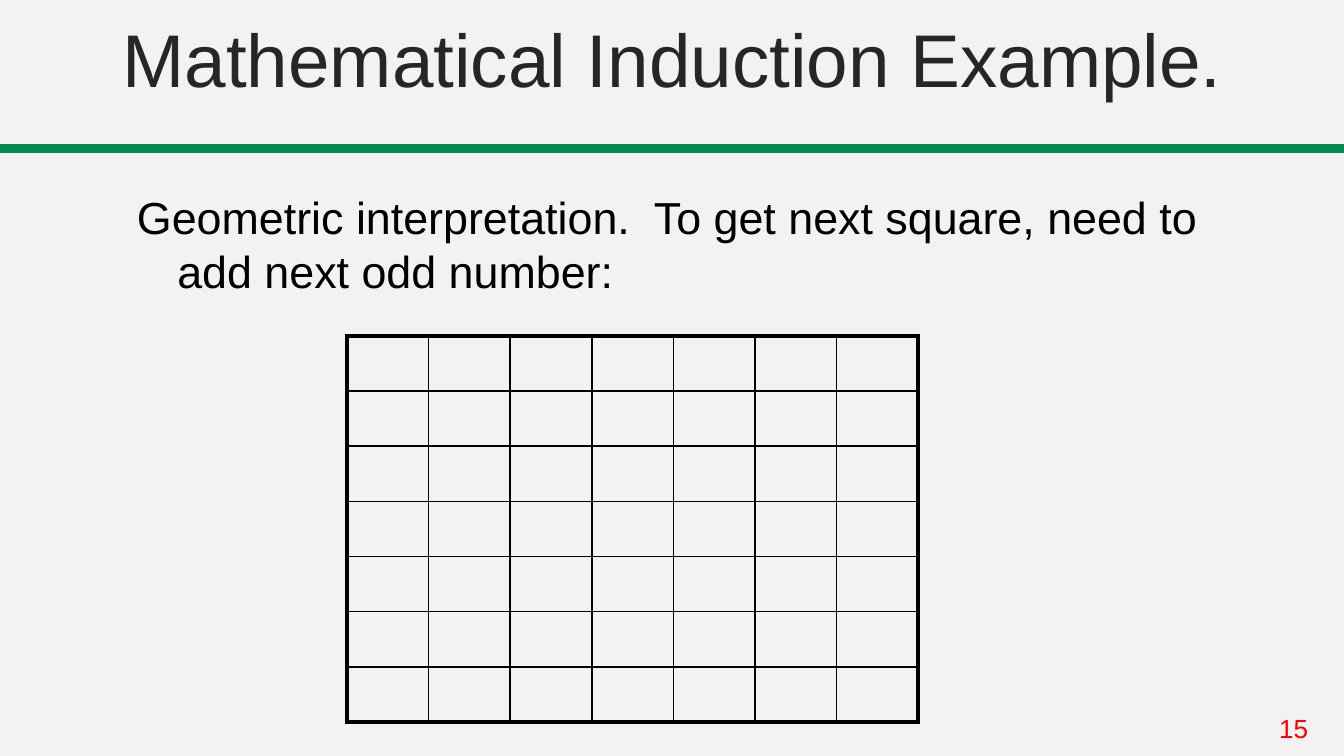
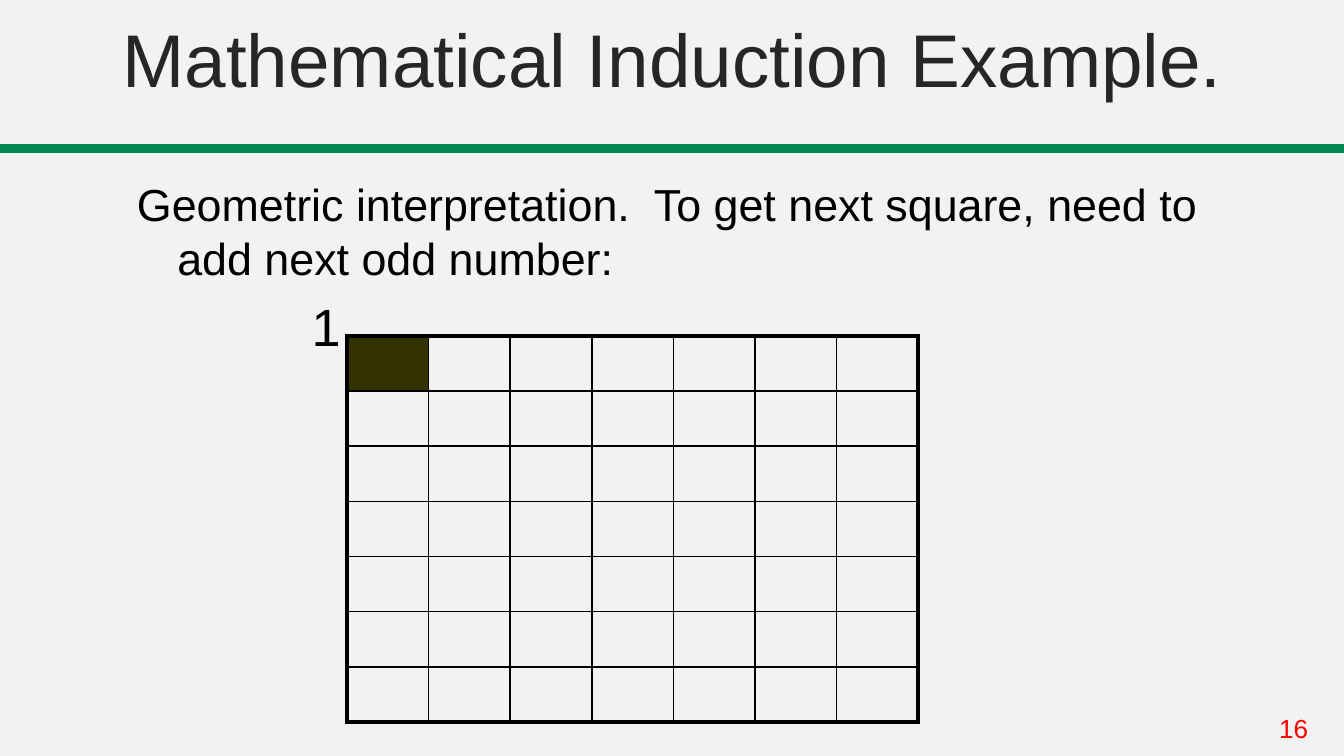
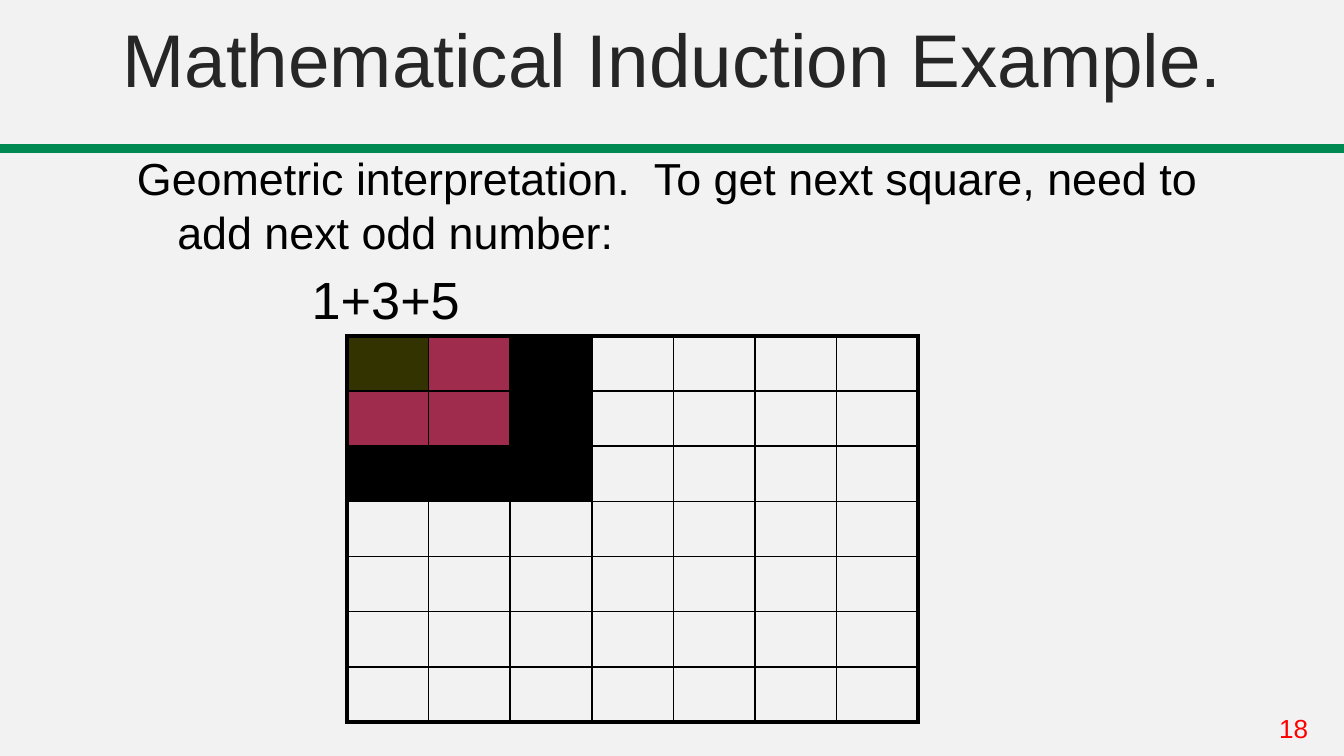
from lxml import etree
from pptx import Presentation
from pptx.dml.color import RGBColor
from pptx.enum import shapes, text
from pptx.oxml import ns
from pptx.util import Pt

GREY = RGBColor(0xF2, 0xF2, 0xF2)
GREEN = RGBColor(0x01, 0x89, 0x52)
RED = RGBColor(0xFF, 0x00, 0x00)
DARK = RGBColor(0x26, 0x26, 0x26)
BLACK = RGBColor(0x00, 0x00, 0x00)
OLIVE = RGBColor(0x33, 0x33, 0x00)
WINE = RGBColor(0xA0, 0x2C, 0x4D)
RINGS = [OLIVE, WINE, BLACK]

FONT = "Arial"
TITLE = "Mathematical Induction Example."
LEAD = ("Geometric interpretation.  To get next square, "
        "need to add next odd number:")
SIDE = 7
SLIDES = [(15, 0, 99.4, 21.3), (16, 1, 157.7, 14.3), (18, 3, 157.7, 0)]


def place(shape, left, top, width, height):
    """Move and size a shape, in points."""
    shape.left, shape.top = Pt(left), Pt(top)
    shape.width, shape.height = Pt(width), Pt(height)


def write(para, words, size, color=BLACK, align=None, left=0, first=0,
          before=0):
    """Fill a paragraph with formatted, unbulleted text."""
    run = para.add_run()
    run.text = words
    run.font.name, run.font.size = FONT, Pt(size)
    run.font.color.rgb = color
    para.alignment = align
    para.space_before = Pt(before)
    props = para._p.get_or_add_pPr()
    props.set("marL", str(Pt(left)))
    props.set("indent", str(Pt(first)))
    etree.SubElement(props, ns.qn("a:buNone"))


def frame(shape, anchor, top=3.6):
    """Prepare a wrapping text frame and return it."""
    box = shape.text_frame
    box.word_wrap = True
    box.auto_size = text.MSO_AUTO_SIZE.NONE
    box.vertical_anchor = anchor
    box.margin_left = box.margin_right = Pt(7.2)
    box.margin_top, box.margin_bottom = Pt(top), Pt(3.6)
    return box


def add_band(slide):
    """Draw the green band under the title."""
    band = slide.shapes.add_shape(shapes.MSO_SHAPE.RECTANGLE, 0, 0, 0, 0)
    place(band, 0, 78.2, 720, 2.9)
    band.shadow.inherit = False
    band.fill.solid()
    band.fill.fore_color.rgb = band.line.color.rgb = GREEN
    band.line.width = Pt(1.75)


def add_number(slide, number):
    """Write the page number in the lower right corner."""
    box = slide.shapes.add_textbox(0, 0, 0, 0)
    place(box, 678.2, 378, 41.8, 24.5)
    para = frame(box, text.MSO_ANCHOR.TOP).paragraphs[0]
    write(para, str(number), 14, RED)


def add_title(slide):
    """Fill the title placeholder."""
    title = slide.shapes.title
    place(title, 0, 0, 720, 58.3)
    para = frame(title, text.MSO_ANCHOR.BOTTOM).paragraphs[0]
    write(para, TITLE, 40, DARK, align=text.PP_ALIGN.CENTER)


def add_body(slide, count, height, inset):
    """Write the lead sentence and the sum of odd numbers."""
    body = slide.placeholders[1]
    place(body, 66.2, 80.6, 594, height)
    box = frame(body, text.MSO_ANCHOR.TOP, inset)
    write(box.paragraphs[0], LEAD, 24, left=21.6, first=-21.6)
    if count:
        total = "+".join(str(2 * n + 1) for n in range(count))
        write(box.add_paragraph(), total, 28, left=93.6, before=5)


def add_edge(cell, side, width):
    """Draw one border of a cell."""
    props = cell._tc.get_or_add_tcPr()
    line = etree.SubElement(props, ns.qn("a:ln" + side), w=str(Pt(width)))
    fill = etree.SubElement(line, ns.qn("a:solidFill"))
    etree.SubElement(fill, ns.qn("a:srgbClr"), val=str(BLACK))


def add_grid(slide, count):
    """Add the square grid with its first rings coloured."""
    table = slide.shapes.add_table(
        SIDE, SIDE, Pt(185.9), Pt(180), Pt(43.73 * SIDE),
        Pt(29.55 * SIDE)).table
    table.first_row = table.horz_banding = False
    last = SIDE - 1
    for row in range(SIDE):
        for col in range(SIDE):
            cell = table.cell(row, col)
            outer = {"L": col == 0, "R": col == last,
                     "T": row == 0, "B": row == last}
            for side, thick in outer.items():
                add_edge(cell, side, 2.25 if thick else 1)
            ring = max(row, col)
            if ring < count:
                cell.fill.solid()
                cell.fill.fore_color.rgb = RINGS[ring]
            else:
                cell.fill.background()


def main():
    """Build and save the deck."""
    deck = Presentation()
    deck.slide_width, deck.slide_height = Pt(720), Pt(405)
    back = deck.slide_master.background.fill
    back.solid()
    back.fore_color.rgb = GREY
    for number, count, height, inset in SLIDES:
        slide = deck.slides.add_slide(deck.slide_layouts[1])
        add_band(slide)
        add_number(slide, number)
        add_title(slide)
        add_body(slide, count, height, inset)
        add_grid(slide, count)
    deck.save("out.pptx")


if __name__ == "__main__":
    main()
